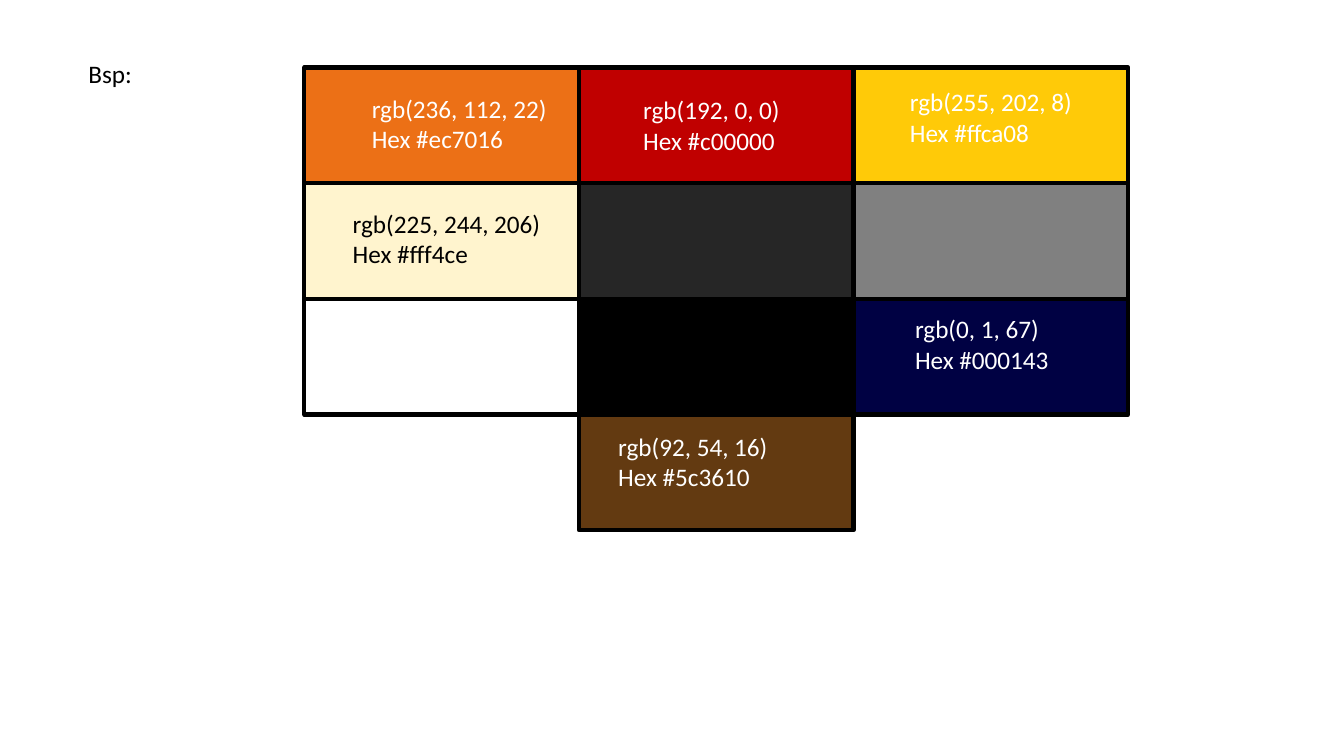
from collections import namedtuple

from pptx import Presentation
from pptx.dml.color import RGBColor
from pptx.enum.shapes import MSO_SHAPE
from pptx.enum.text import MSO_AUTO_SIZE
from pptx.util import Cm, Pt

Box = namedtuple("Box", "left top width height")
Swatch = namedtuple("Swatch", "column row color")
Label = namedtuple("Label", "swatch lines dx dy width color")

COLORS = {
    "orange": "EC7016",
    "red": "C00000",
    "yellow": "FFCA08",
    "cream": "FFF4CE",
    "charcoal": "262626",
    "gray": "808080",
    "white": "FFFFFF",
    "black": "000000",
    "navy": "000143",
    "brown": "633A11",
}
PALETTE = [
    ["orange", "red", "yellow"],
    ["cream", "charcoal", "gray"],
    ["white", "black", "navy"],
    [None, "brown", None],
]
LABELS = [
    Label("orange", ["rgb(236, 112, 22)", "Hex #ec7016"], 1.45, 0.53, 4.98, "white"),
    Label("red", ["rgb(192, 0, 0)", "Hex #c00000"], 1.37, 0.56, 4.8, "white"),
    Label("yellow", ["rgb(255, 202, 8)", "Hex #ffca08"], 1.17, 0.36, 4.8, "white"),
    Label("cream", ["rgb(225, 244, 206)", "Hex #fff4ce"], 0.97, 0.51, 5.44, "black"),
    Label("navy", ["rgb(0, 1, 67)", "Hex #000143"], 1.3, 0.25, 4.8, "white"),
    Label("brown", ["rgb(92, 54, 16)", "Hex #5c3610"], 0.74, 0.3, 4.98, "white"),
]


def rgb(name):
    """Return the named colour."""
    return RGBColor.from_string(COLORS[name])


def add_text(page, box, lines, color="black", size=18, font="Calibri"):
    """Place a wrapping text box with one paragraph per line."""
    frame = page.shapes.add_textbox(*map(Cm, box)).text_frame
    frame.word_wrap = True
    frame.auto_size = MSO_AUTO_SIZE.SHAPE_TO_FIT_TEXT
    for index, line in enumerate(lines):
        para = frame.add_paragraph() if index else frame.paragraphs[0]
        span = para.add_run()
        span.text = line
        span.font.name = font
        span.font.size = Pt(size)
        span.font.color.rgb = rgb(color)


def add_swatch(page, box, color):
    """Place one outlined colour field."""
    swatch = page.shapes.add_shape(MSO_SHAPE.RECTANGLE, *map(Cm, box))
    swatch.shadow.inherit = False
    swatch.fill.solid()
    swatch.fill.fore_color.rgb = rgb(color)
    swatch.line.color.rgb = rgb("black")
    swatch.line.width = Pt(3)


def add_palette(page, box):
    """Fill the box with the grid of colour fields and their labels."""
    width = box.width / len(PALETTE[0])
    height = box.height / len(PALETTE)
    cells = {
        color: Box(box.left + column * width, box.top + row * height, width, height)
        for row, colors in enumerate(PALETTE)
        for column, color in enumerate(colors)
        if color
    }
    for color, cell in cells.items():
        add_swatch(page, cell, color)
    for label in LABELS:
        cell = cells[label.swatch]
        place = Box(cell.left + label.dx, cell.top + label.dy, label.width, 1.8)
        add_text(page, place, label.lines, color=label.color)


def main():
    """Build the colour palette slide and save it."""
    deck = Presentation()
    deck.slide_width, deck.slide_height = Cm(33.87), Cm(19.05)
    page = deck.slides.add_slide(deck.slide_layouts[6])
    add_palette(page, Box(7.67, 1.7, 20.76, 11.66))
    add_text(page, Box(1.98, 1.35, 3.45, 1.02), ["Bsp:"])
    deck.save("out.pptx")


if __name__ == "__main__":
    main()
